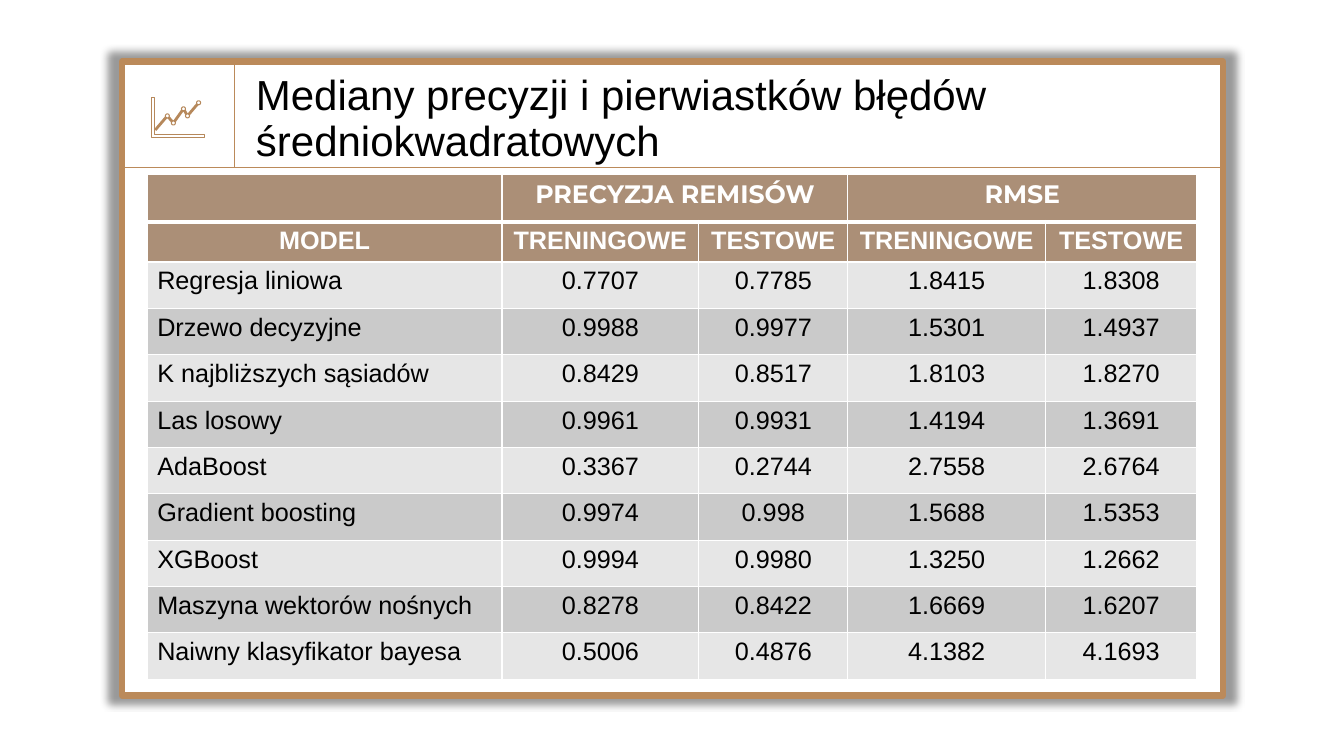
"""Build a slide with a table of median precision and RMSE by model."""
from lxml import etree
from pptx import Presentation
from pptx import util as u
from pptx.dml.color import RGBColor
from pptx.enum import shapes, text
from pptx.oxml import parse_xml
from pptx.oxml.ns import nsdecls, qn

TITLE = "Mediany precyzji i pierwiastków błędów średniokwadratowych"
GROUPS = ["", "PRECYZJA REMISÓW", "", "RMSE", ""]
HEADINGS = ["MODEL", "TRENINGOWE", "TESTOWE", "TRENINGOWE", "TESTOWE"]
RESULTS = [
    ("Regresja liniowa", "0.7707", "0.7785", "1.8415", "1.8308"),
    ("Drzewo decyzyjne", "0.9988", "0.9977", "1.5301", "1.4937"),
    ("K najbliższych sąsiadów", "0.8429", "0.8517", "1.8103", "1.8270"),
    ("Las losowy", "0.9961", "0.9931", "1.4194", "1.3691"),
    ("AdaBoost", "0.3367", "0.2744", "2.7558", "2.6764"),
    ("Gradient boosting", "0.9974", "0.998", "1.5688", "1.5353"),
    ("XGBoost", "0.9994", "0.9980", "1.3250", "1.2662"),
    ("Maszyna wektorów nośnych", "0.8278", "0.8422", "1.6669", "1.6207"),
    ("Naiwny klasyfikator bayesa", "0.5006", "0.4876", "4.1382", "4.1693"),
]
COLUMN_WIDTHS = [3.52, 1.95, 1.48, 1.96, 1.5]
ROW_HEIGHTS = [0.47, 0.38] + [0.46] * len(RESULTS)
FRAME = (1.21, 0.61, 10.92, 6.29)
DIVIDER_X, DIVIDER_Y = 2.33, 1.66
AXES = [(1.5, 0.97), (1.53, 0.97), (1.53, 1.33), (2.03, 1.33), (2.03, 1.36), (1.5, 1.36)]
TREND = [(1.54, 1.29), (1.66, 1.15), (1.72, 1.22), (1.82, 1.08), (1.86, 1.15), (1.97, 1.02)]
DOT = 0.04

WHITE = RGBColor(0xFF, 0xFF, 0xFF)
BLACK = RGBColor(0, 0, 0)
BRONZE = RGBColor(0xBB, 0x8A, 0x5A)
ICON = RGBColor(0xB6, 0x88, 0x5B)
HEADER = RGBColor(0xAB, 0x8F, 0x77)
BANDS = [RGBColor(0xE6, 0xE6, 0xE6), RGBColor(0xCA, 0xCA, 0xCA)]


def inches(values):
    return [u.Inches(value) for value in values]


def style_shape(shape, color, width):
    shape.shadow.inherit = False
    shape.fill.solid()
    shape.fill.fore_color.rgb = WHITE
    shape.line.color.rgb = color
    shape.line.width = u.Pt(width)


def style_text(para, size, font, color, bold=False):
    for span in para.runs:
        span.font.size, span.font.name, span.font.bold = u.Pt(size), font, bold
        span.font.color.rgb = color


def add_divider(slide, *ends):
    line = slide.shapes.add_connector(shapes.MSO_CONNECTOR.STRAIGHT, *inches(ends))
    line.line.color.rgb = BRONZE
    line.line.width = u.Pt(0.75)
    etree.SubElement(line._element.spPr, qn("a:effectLst"))


def add_frame(slide):
    frame = slide.shapes.add_shape(shapes.MSO_SHAPE.RECTANGLE, *inches(FRAME))
    style_shape(frame, BRONZE, 4.5)
    frame._element.spPr.find(qn("a:effectLst")).append(parse_xml(
        f'<a:outerShdw {nsdecls("a")} blurRad="{u.Pt(5)}" sx="102000" sy="102000" algn="ctr">'
        '<a:srgbClr val="000000"><a:alpha val="40000"/></a:srgbClr></a:outerShdw>'))
    left, top, width, _ = FRAME
    add_divider(slide, DIVIDER_X, top, DIVIDER_X, DIVIDER_Y)
    add_divider(slide, left, DIVIDER_Y, left + width, DIVIDER_Y)


def add_outline(slide, points, close, width):
    start, *others = [inches(point) for point in points]
    builder = slide.shapes.build_freeform(*start)
    builder.add_line_segments(others, close=close)
    outline = builder.convert_to_shape()
    style_shape(outline, ICON, width)
    return outline


def add_icon(slide):
    add_outline(slide, AXES, True, 0.75)
    add_outline(slide, TREND, False, 2).fill.background()
    for x, y in TREND[1:]:
        dot = slide.shapes.add_shape(
            shapes.MSO_SHAPE.OVAL, *inches((x - DOT / 2, y - DOT / 2, DOT, DOT)))
        style_shape(dot, ICON, 0.75)


def add_title(slide):
    box = slide.shapes.add_textbox(*inches((2.44, 0.98, 9.1, 0.76)))
    frame = box.text_frame
    frame.word_wrap = True
    frame.vertical_anchor = text.MSO_ANCHOR.BOTTOM
    frame.margin_left = frame.margin_right = u.Inches(0.1)
    frame.margin_top = frame.margin_bottom = u.Inches(0.1)
    frame.text = TITLE
    frame.paragraphs[0].line_spacing = 0.9
    style_text(frame.paragraphs[0], 30, "Arial", BLACK)


def set_borders(cell, widths):
    properties = cell._tc.get_or_add_tcPr()
    for side, width in widths.items():
        properties.append(parse_xml(
            f'<a:ln{side} {nsdecls("a")} w="{u.Pt(width)}"><a:solidFill>'
            f'<a:srgbClr val="{WHITE}"/></a:solidFill></a:ln{side}>'))


def add_results(slide):
    rows = [GROUPS, HEADINGS, *RESULTS]
    table = slide.shapes.add_table(
        len(rows), len(HEADINGS),
        *inches((1.46, 1.73, sum(COLUMN_WIDTHS), sum(ROW_HEIGHTS)))).table
    for column, width in zip(table.columns, COLUMN_WIDTHS):
        column.width = u.Inches(width)
    for r, (row, height) in enumerate(zip(rows, ROW_HEIGHTS)):
        table.rows[r].height = u.Inches(height)
        heading = r < 2
        for c, value in enumerate(row):
            cell = table.cell(r, c)
            set_borders(cell, {"L": 1, "R": 1, "T": 1, "B": 3 if r == 0 else 1})
            cell.fill.solid()
            cell.fill.fore_color.rgb = HEADER if heading else BANDS[r % 2]
            cell.text_frame.text = value
            para = cell.text_frame.paragraphs[0]
            centred = heading or c > 0
            para.alignment = text.PP_ALIGN.CENTER if centred else text.PP_ALIGN.LEFT
            style_text(para, 18, "Montserrat" if r == 0 else "Arial",
                       WHITE if heading else BLACK, heading)
    for c in (1, 3):
        table.cell(0, c).merge(table.cell(0, c + 1))


deck = Presentation()
deck.slide_width, deck.slide_height = inches((13.33, 7.5))
page = deck.slides.add_slide(deck.slide_layouts[6])
add_frame(page)
add_title(page)
add_results(page)
add_icon(page)
deck.save("out.pptx")
